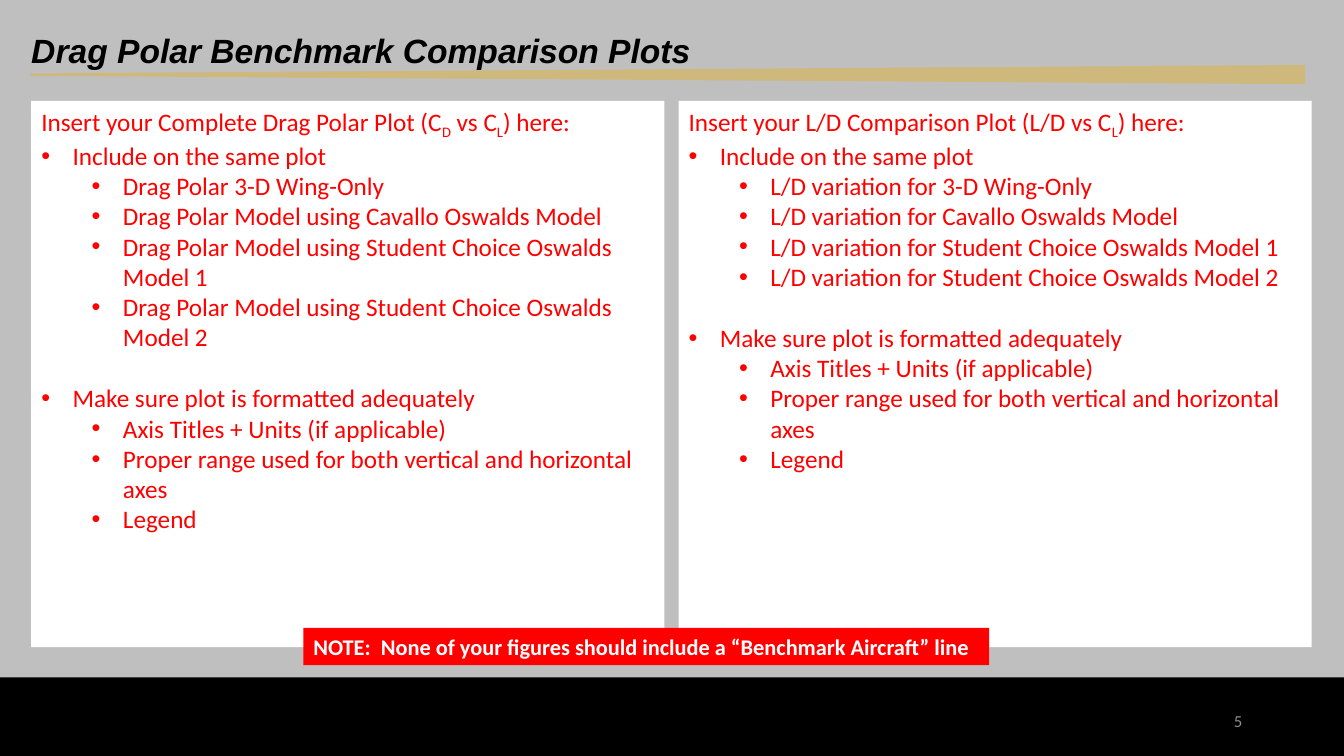
from dataclasses import dataclass

from lxml.etree import SubElement
from pptx import Presentation
from pptx.dml.color import RGBColor
from pptx.enum.shapes import MSO_SHAPE
from pptx.enum.text import MSO_ANCHOR, MSO_AUTO_SIZE, PP_ALIGN
from pptx.oxml.ns import qn
from pptx.util import Pt

PX = 9144  # 100 px to the inch


@dataclass(frozen=True)
class Theme:
    backdrop: str = "BFBFBF"
    gold: str = "CFB87C"
    black: str = "000000"
    white: str = "FFFFFF"
    red: str = "FF0000"
    grey: str = "8C8C8C"
    heading_font: str = "Arial"
    body_font: str = "Calibri"
    title_size: int = 24
    body_size: int = 18
    note_size: int = 16
    number_size: int = 12


theme = Theme()


def style(paragraph, size, color, face=theme.body_font, bold=False, italic=False):
    font = paragraph.font
    font.name, font.size = face, Pt(size)
    font.bold, font.italic = bold, italic
    font.color.rgb = RGBColor.from_string(color)


def add_block(kind, left, top, width, height, color):
    block = slide.shapes.add_shape(kind, left * PX, top * PX, width * PX, height * PX)
    block.shadow.inherit = False
    block.fill.solid()
    block.fill.fore_color.rgb = RGBColor.from_string(color)
    block.line.fill.background()
    return block


prs = Presentation()
prs.slide_width, prs.slide_height = 1333 * PX, 750 * PX
slide = prs.slides.add_slide(prs.slide_layouts[3])
slide.background.fill.solid()
slide.background.fill.fore_color.rgb = RGBColor.from_string(theme.backdrop)

# Title
title = slide.shapes.title
title.left, title.top, title.width, title.height = 21 * PX, 13 * PX, 1221 * PX, 78 * PX
title.text_frame.text = "Drag Polar Benchmark Comparison Plots"
title.text_frame.vertical_anchor = MSO_ANCHOR.MIDDLE
title.text_frame.auto_size = MSO_AUTO_SIZE.NONE
heading = title.text_frame.paragraphs[0]
heading.alignment = PP_ALIGN.LEFT
heading.line_spacing = 0.9
style(heading, theme.title_size, theme.black, theme.heading_font, bold=True, italic=True)

# Gold wedge and footer band, behind the text
wedge = add_block(MSO_SHAPE.TRAPEZOID, 653, -558, 19, 1264, theme.gold)
wedge.adjustments[0] = 0.437
wedge.rotation = 270
footer = add_block(MSO_SHAPE.RECTANGLE, 0, 672, 1333, 78, theme.black)
for backing in (wedge, footer):
    title.element.addprevious(backing.element)

# Plot panels: heading as (text, is subscript), then the curves to include
panels = [
    (
        [("Insert your Complete Drag Polar Plot (C", False), ("D", True),
         (" vs C", False), ("L", True), (") here:", False)],
        ["Drag Polar 3-D Wing-Only",
         "Drag Polar Model using Cavallo Oswalds Model",
         "Drag Polar Model using Student Choice Oswalds Model 1",
         "Drag Polar Model using Student Choice Oswalds Model 2"],
    ),
    (
        [("Insert your L/D Comparison Plot (L/D vs C", False), ("L", True),
         (") here:", False)],
        ["L/D variation for 3-D Wing-Only",
         "L/D variation for Cavallo Oswalds Model",
         "L/D variation for Student Choice Oswalds Model 1",
         "L/D variation for Student Choice Oswalds Model 2"],
    ),
]
format_rules = ["Axis Titles + Units (if applicable)",
                "Proper range used for both vertical and horizontal axes",
                "Legend"]

for column, (prompt, curves) in enumerate(panels):
    panel = slide.placeholders[column + 1]
    panel.left, panel.top = (31 + column * 642) * PX, 100 * PX
    panel.width, panel.height = 628 * PX, 542 * PX
    panel.fill.solid()
    panel.fill.fore_color.rgb = RGBColor.from_string(theme.white)
    frame = panel.text_frame
    frame.auto_size = MSO_AUTO_SIZE.NONE
    frame.vertical_anchor = MSO_ANCHOR.TOP

    intro = frame.paragraphs[0]
    intro.space_before = Pt(0)
    props = intro._p.get_or_add_pPr()
    props.set("marL", "0")
    props.set("indent", "0")
    SubElement(props, qn("a:buNone"))
    style(intro, theme.body_size, theme.red)
    for text, is_subscript in prompt:
        run = intro.add_run()
        run.text = text
        if is_subscript:
            run._r.get_or_add_rPr().set("baseline", "-25000")

    # Each topic is followed by its indented points
    topics = [("Include on the same plot", curves, 0),
              ("Make sure plot is formatted adequately", format_rules, 22)]
    for topic, points, gap in topics:
        for level, text in [(0, topic)] + [(1, point) for point in points]:
            item = frame.add_paragraph()
            item.text = text
            item.level = level
            item.space_before = Pt(gap if level == 0 else 0)
            props = item._p.get_or_add_pPr()
            props.set("marL", str((31 + level * 50) * PX))
            props.set("indent", str(-31 * PX))
            SubElement(props, qn("a:buFont"), typeface=theme.heading_font)
            SubElement(props, qn("a:buChar"), char="•")
            style(item, theme.body_size, theme.red)

# Note across the panels
note = add_block(MSO_SHAPE.RECTANGLE, 301, 623, 680, 37, theme.red)
note.text_frame.word_wrap = False
note.text_frame.auto_size = MSO_AUTO_SIZE.SHAPE_TO_FIT_TEXT
note.text_frame.vertical_anchor = MSO_ANCHOR.TOP
note.text_frame.text = "NOTE:  None of your figures should include a “Benchmark Aircraft” line"
warning = note.text_frame.paragraphs[0]
warning.alignment = PP_ALIGN.LEFT
style(warning, theme.note_size, theme.white, bold=True)

# Slide number
page = slide.shapes.add_textbox(942 * PX, 695 * PX, 300 * PX, 40 * PX)
page.text_frame.word_wrap = True
page.text_frame.vertical_anchor = MSO_ANCHOR.MIDDLE
page.text_frame.text = "5"
number = page.text_frame.paragraphs[0]
number.alignment = PP_ALIGN.RIGHT
style(number, theme.number_size, theme.grey)

prs.save("out.pptx")
